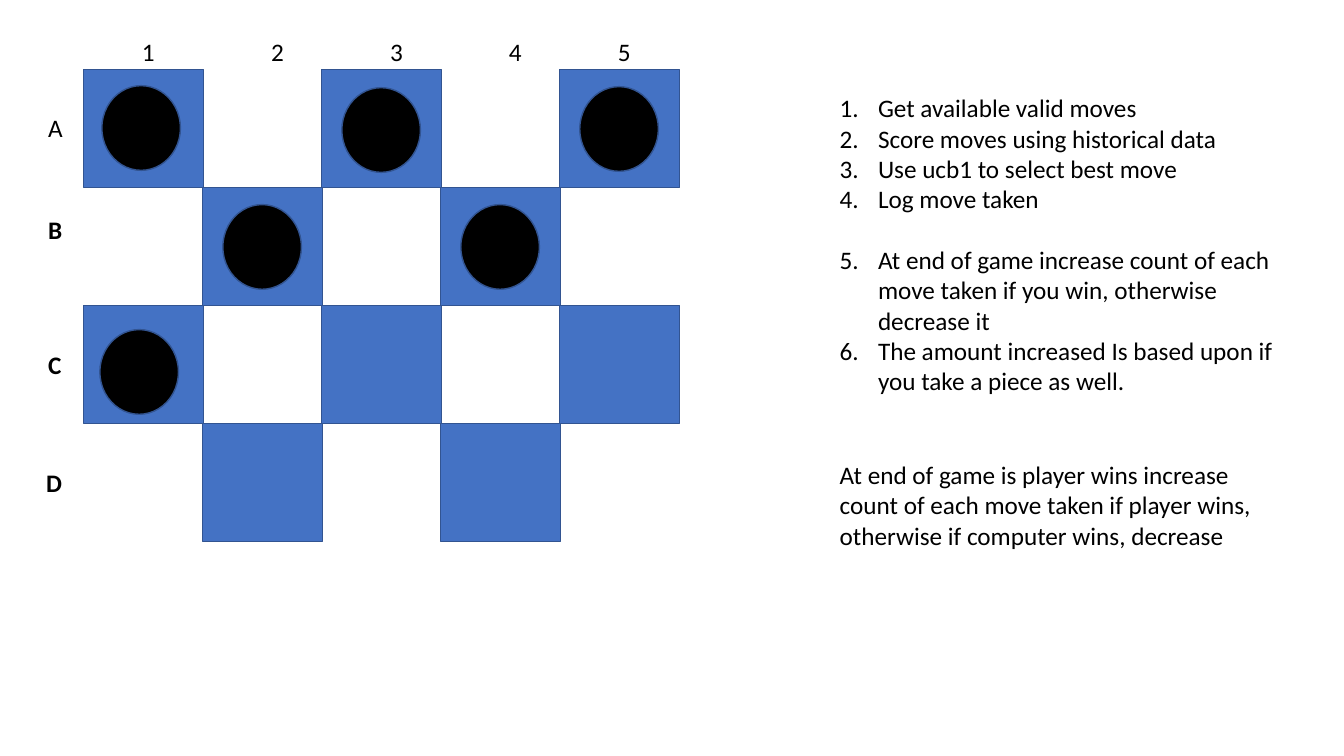
from lxml import etree
from pptx import Presentation
from pptx.dml.color import RGBColor
from pptx.enum import shapes, text
from pptx.oxml import ns
from pptx.util import Inches, Pt

COLUMN_STEP, ROW_STEP = 1.18, 1.17
SQUARE_SIZE = (1.19, 1.17)
PIECE_SIZE = (0.78, 0.84)
PIECES = [
    (0, 0, 0.18, 0.16), (2, 0, 0.2, 0.18), (4, 0, 0.2, 0.17),
    (1, 1, 0.2, 0.17), (3, 1, 0.2, 0.17), (0, 2, 0.16, 0.24),
]
ROW_LABELS = [("A", 0, 0.38), ("B", 0, 1.39), ("C", 0, 2.73), ("D", -0.02, 3.9)]
COLUMN_LABELS = [("1", 0.93), ("2", 2.21), ("3", 3.39), ("4", 4.57), ("5", 5.65)]
STEPS = [
    "Get available valid moves",
    "Score moves using historical data",
    "Use ucb1 to select best move",
    "Log move taken",
    "At end of game increase count of each move taken if you win, otherwise decrease it",
    "The amount increased Is based upon if you take a piece as well.",
]
FIRST_END_STEP = 4
SUMMARY = ("At end of game is player wins increase count of each move taken "
           "if player wins, otherwise if computer wins, decrease")


def color(value):
    return RGBColor.from_string(value)


def add_outlined(slide, kind, left, top, size, fill):
    shape = slide.shapes.add_shape(kind, *map(Inches, (left, top, *size)))
    shape.shadow.inherit = False
    shape.fill.solid()
    shape.fill.fore_color.rgb = color(fill)
    shape.line.color.rgb = color("325491")
    shape.line.width = Pt(1)


def add_text(slide, left, top, width, height, lines, bold=False, wrap=True):
    box = slide.shapes.add_textbox(*map(Inches, (left, top, width, height)))
    frame = box.text_frame
    frame.word_wrap = wrap
    frame.auto_size = text.MSO_AUTO_SIZE.SHAPE_TO_FIT_TEXT
    for index, line in enumerate(lines):
        paragraph = frame.add_paragraph() if index else frame.paragraphs[0]
        run = paragraph.add_run()
        run.text = line
        run.font.name = "Calibri"
        run.font.size = Pt(18)
        run.font.bold = bold
        run.font.color.rgb = color("000000")
    return frame.paragraphs


def number_paragraph(paragraph):
    properties = paragraph._p.get_or_add_pPr()
    properties.set("marL", str(Inches(0.38)))
    properties.set("indent", str(-Inches(0.38)))
    bullet = etree.SubElement(properties, ns.qn("a:buAutoNum"))
    bullet.set("type", "arabicPeriod")


def add_board(slide, left, top):
    for row in range(4):
        for column in range(row % 2, 5, 2):
            add_outlined(slide, shapes.MSO_SHAPE.RECTANGLE, left + column * COLUMN_STEP,
                         top + row * ROW_STEP, SQUARE_SIZE, "4472C4")
    for column, row, inset_x, inset_y in PIECES:
        add_outlined(slide, shapes.MSO_SHAPE.OVAL, left + column * COLUMN_STEP + inset_x,
                     top + row * ROW_STEP + inset_y, PIECE_SIZE, "000000")


def add_labels(slide, left, top):
    for label, shift, offset in ROW_LABELS:
        add_text(slide, left + shift, top + offset, 0.35, 0.4, [label],
                 bold=label != "A", wrap=False)
    for label, offset in COLUMN_LABELS:
        add_text(slide, left + offset, top - 0.38, 0.33, 0.4, [label], wrap=False)


def add_notes_column(slide, left, top, width):
    steps = add_text(slide, left, top, width, 3.43, STEPS)
    steps[FIRST_END_STEP].space_before = Pt(22)
    for paragraph in steps:
        number_paragraph(paragraph)
    add_text(slide, left, top + 3.64, width, 1.01, [SUMMARY])


presentation = Presentation()
presentation.slide_width = Inches(13.33)
presentation.slide_height = Inches(7.5)
slide = presentation.slides.add_slide(presentation.slide_layouts[6])
add_board(slide, 0.83, 0.69)
add_labels(slide, 0.38, 0.69)
add_notes_column(slide, 8.23, 0.87, 4.52)
presentation.save("out.pptx")
